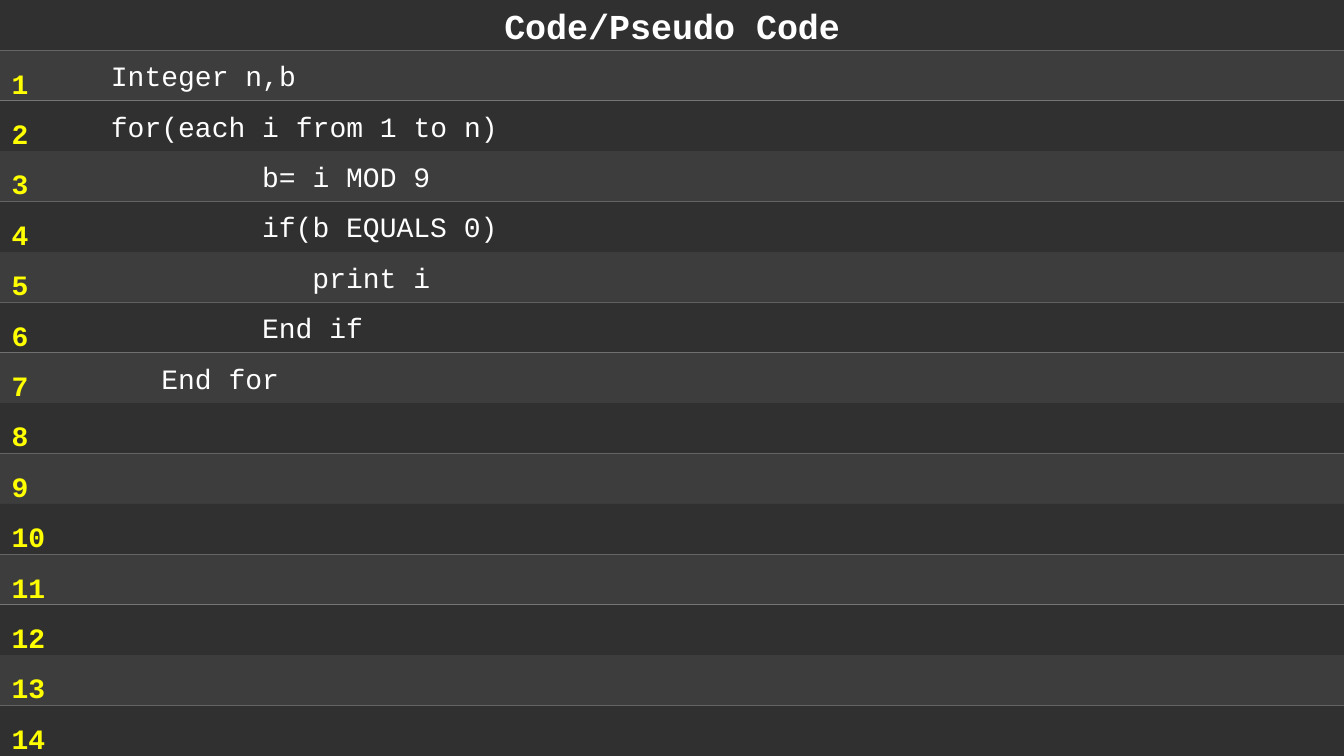
from pptx import Presentation
from pptx.dml.color import RGBColor
from pptx.enum.shapes import MSO_SHAPE as Shape
from pptx.enum.text import MSO_ANCHOR as Anchor, PP_ALIGN as Align
from pptx.util import Pt

WIDTH, HEIGHT = 960, 540
ROW_HEIGHT = 36
INSET = 7.2
LINE_COUNT = 14
DARK, LIGHT = "303030", "3D3D3D"
WHITE, YELLOW = "FFFFFF", "FFFF00"
CODE_LINES = [
    (72, "Integer n,b"),
    (72, "for(each i from 1 to n)"),
    (180, "b= i MOD 9"),
    (180, "if(b EQUALS 0)"),
    (216, "print i"),
    (180, "End if"),
    (108, "End for"),
]


def color(hex_value):
    return RGBColor.from_string(hex_value)


def style(paragraph, size, hex_value, bold=False, align=Align.LEFT):
    paragraph.alignment = align
    for run in paragraph.runs:
        run.font.name = "Courier New"
        run.font.size = Pt(size)
        run.font.bold = bold
        run.font.color.rgb = color(hex_value)


def add_band(slide, left, top, width, height, fill):
    band = slide.shapes.add_shape(Shape.RECTANGLE, Pt(left), Pt(top), Pt(width), Pt(height))
    band.shadow.inherit = False
    band.fill.solid()
    band.fill.fore_color.rgb = color(fill)
    band.line.fill.background()
    band.text_frame.vertical_anchor = Anchor.MIDDLE
    return band


def add_title(slide, left, top, width, height):
    title = add_band(slide, left, top, width, height, DARK).text_frame
    title.text = "Code/Pseudo Code"
    style(title.paragraphs[0], 25, WHITE, bold=True, align=Align.CENTER)


def add_code_rows(slide, left, top, width, row_height):
    for index in range(LINE_COUNT):
        fill = DARK if index % 2 else LIGHT
        row = add_band(slide, left, top + index * row_height, width, row_height, fill)
        if index < len(CODE_LINES):
            indent, code = CODE_LINES[index]
            row.text_frame.margin_left = Pt(INSET + indent)
            row.text_frame.text = code
            style(row.text_frame.paragraphs[0], 20, WHITE)


def add_line_numbers(slide, left, top, width, height):
    numbers = slide.shapes.add_textbox(Pt(left), Pt(top), Pt(width), Pt(height)).text_frame
    numbers.word_wrap = True
    numbers.text = "\n".join(str(number) for number in range(1, LINE_COUNT + 1))
    for number in numbers.paragraphs:
        number.line_spacing = 1.5
        style(number, 20, YELLOW, bold=True)


def main():
    deck = Presentation()
    deck.slide_width, deck.slide_height = Pt(WIDTH), Pt(HEIGHT)
    slide = deck.slides.add_slide(deck.slide_layouts[6])
    add_title(slide, 0, 0, WIDTH, ROW_HEIGHT)
    add_code_rows(slide, 0, ROW_HEIGHT, WIDTH, ROW_HEIGHT)
    add_line_numbers(slide, 1.2, 31.7, 40.3, 513.4)
    deck.save("out.pptx")


if __name__ == "__main__":
    main()
